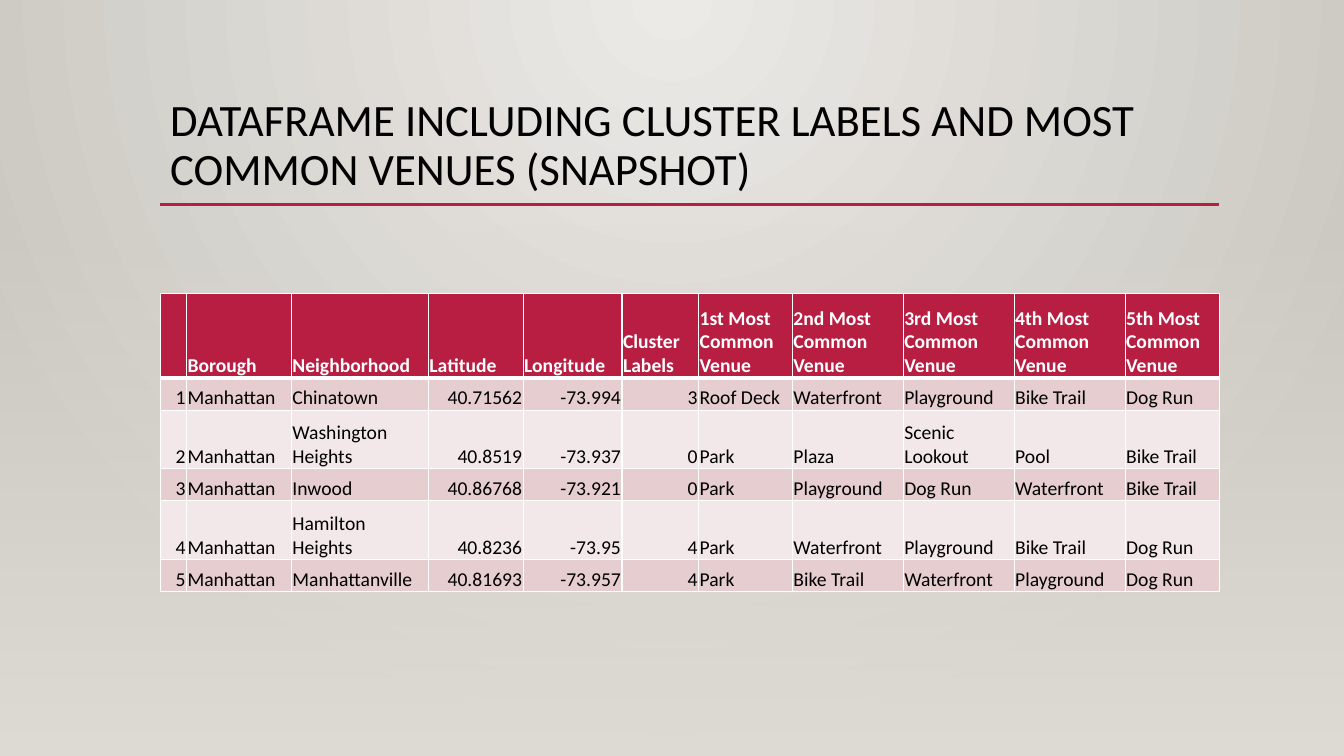
"""Build a slide with a table of neighborhoods, cluster labels and common venues."""
import pptx
import pptx.dml.color
import pptx.enum.shapes
import pptx.enum.text
import pptx.oxml
import pptx.oxml.ns
import pptx.util

TITLE = "DATAFRAME INCLUDING CLUSTER LABELS AND MOST COMMON VENUES (SNAPSHOT)"
HEADS = ["", "Borough", "Neighborhood", "Latitude", "Longitude", "Cluster Labels"]
HEADS += [f"{rank} Most Common Venue" for rank in ("1st", "2nd", "3rd", "4th", "5th")]
ROWS = [
    ("1", "Manhattan", "Chinatown", "40.71562", "-73.994", "3",
     "Roof Deck", "Waterfront", "Playground", "Bike Trail", "Dog Run"),
    ("2", "Manhattan", "Washington Heights", "40.8519", "-73.937", "0",
     "Park", "Plaza", "Scenic Lookout", "Pool", "Bike Trail"),
    ("3", "Manhattan", "Inwood", "40.86768", "-73.921", "0",
     "Park", "Playground", "Dog Run", "Waterfront", "Bike Trail"),
    ("4", "Manhattan", "Hamilton Heights", "40.8236", "-73.95", "4",
     "Park", "Waterfront", "Playground", "Bike Trail", "Dog Run"),
    ("5", "Manhattan", "Manhattanville", "40.81693", "-73.957", "4",
     "Park", "Bike Trail", "Waterfront", "Playground", "Dog Run"),
]
WIDTHS = [26, 104, 136, 94, 98, 76, 93, 110, 110, 110, 94]
HEIGHTS = [84, 32, 58, 32, 58, 32]
NUMBERS = {0, 3, 4, 5}
FONT, RED, WHITE, BLACK = "Calibri", "B71E42", "FFFFFF", "000000"
BANDS = ["F3E8E9", "E6CDCF"]
GLOW, SHADE = ("ECEAE7", "CAC7C1"), ("DFDBD5", "DFDBD5")
WIDE, HIGH, LEFT, SPAN = 1333, 750, 159, 1050
TOP, RULE, FLOOR, GRID = 88, 203, 221, 291
NS = pptx.oxml.ns.nsdecls("a")


def px(size):
    return pptx.util.Emu(size * 9144)


def tint(code):
    return pptx.dml.color.RGBColor.from_string(code)


def blend(fill, owner, codes):
    fill.gradient()
    fill.gradient_angle = 270
    for stop, code, place in zip(fill.gradient_stops, codes, (0, 1)):
        stop.color.rgb = tint(code)
        stop.position = place
    return next(owner.element.iter(pptx.oxml.ns.qn("a:gradFill")))


def radiate(fill, owner):
    grad = blend(fill, owner, GLOW)
    grad.replace(grad.find(pptx.oxml.ns.qn("a:lin")), pptx.oxml.parse_xml(
        f'<a:path {NS} path="circle"><a:fillToRect l="43000" r="43000" b="100000"/></a:path>'))


def panel(slide, top):
    shape = slide.shapes.add_shape(
        pptx.enum.shapes.MSO_SHAPE.RECTANGLE, 0, px(top), px(WIDE), px(HIGH - top))
    shape.shadow.inherit = False
    shape.line.fill.background()
    return shape


def style(para, size, code, bold=False):
    para.font.name = FONT
    para.font.size = pptx.util.Pt(size)
    para.font.bold = bold
    para.font.color.rgb = tint(code)


def border(cell, row):
    props = cell._tc.get_or_add_tcPr()
    thick = {"T": 3 if row == 1 else 1, "B": 3 if row == 0 else 1}
    for spot, side in enumerate("LRTB"):
        width = pptx.util.Pt(thick.get(side, 1))
        props.insert(spot, pptx.oxml.parse_xml(
            f'<a:ln{side} {NS} w="{width}"><a:solidFill><a:srgbClr val="{WHITE}"/>'
            f'</a:solidFill></a:ln{side}>'))


def add_back(slide):
    radiate(slide.background.fill, slide)
    glow = panel(slide, 0)
    radiate(glow.fill, glow)


def add_shade(slide):
    shade = panel(slide, FLOOR)
    grad = blend(shade.fill, shade, SHADE)
    clear = next(grad.iter(pptx.oxml.ns.qn("a:srgbClr")))
    clear.append(pptx.oxml.parse_xml(f'<a:alpha {NS} val="0"/>'))


def add_title(slide):
    frame = slide.shapes.add_textbox(px(LEFT), px(TOP), px(SPAN), px(RULE - TOP)).text_frame
    frame.word_wrap = True
    frame.vertical_anchor = pptx.enum.text.MSO_ANCHOR.MIDDLE
    para = frame.paragraphs[0]
    para.text = TITLE
    para.line_spacing = 0.9
    style(para, 32, BLACK)


def add_rule(slide):
    rule = slide.shapes.add_connector(
        pptx.enum.shapes.MSO_CONNECTOR.STRAIGHT,
        px(LEFT), px(RULE), px(LEFT + SPAN), px(RULE))
    rule.line.color.rgb = tint(RED)
    rule.line.width = pptx.util.Pt(2.5)
    rule.element.spPr.append(pptx.oxml.parse_xml(f"<a:effectLst {NS}/>"))


def add_grid(slide):
    table = slide.shapes.add_table(
        len(HEIGHTS), len(WIDTHS), px(LEFT), px(GRID), px(SPAN), px(sum(HEIGHTS))).table
    for column, width in zip(table.columns, WIDTHS):
        column.width = px(width)
    for line, height in zip(table.rows, HEIGHTS):
        line.height = px(height)
    for row, words in enumerate([HEADS, *ROWS]):
        for col, word in enumerate(words):
            cell = table.cell(row, col)
            cell.margin_left = cell.margin_right = cell.margin_top = px(1)
            cell.margin_bottom = 0
            cell.vertical_anchor = pptx.enum.text.MSO_ANCHOR.BOTTOM
            cell.fill.solid()
            cell.fill.fore_color.rgb = tint(BANDS[row % 2] if row else RED)
            border(cell, row)
            para = cell.text_frame.paragraphs[0]
            para.text = word
            style(para, 14, BLACK if row else WHITE, row == 0)
            if row and col in NUMBERS:
                para.alignment = pptx.enum.text.PP_ALIGN.RIGHT


def main():
    deck = pptx.Presentation()
    deck.slide_width, deck.slide_height = px(WIDE), px(HIGH)
    slide = deck.slides.add_slide(deck.slide_layouts[6])
    add_back(slide)
    add_title(slide)
    add_rule(slide)
    add_shade(slide)
    add_grid(slide)
    deck.save("out.pptx")


if __name__ == "__main__":
    main()
